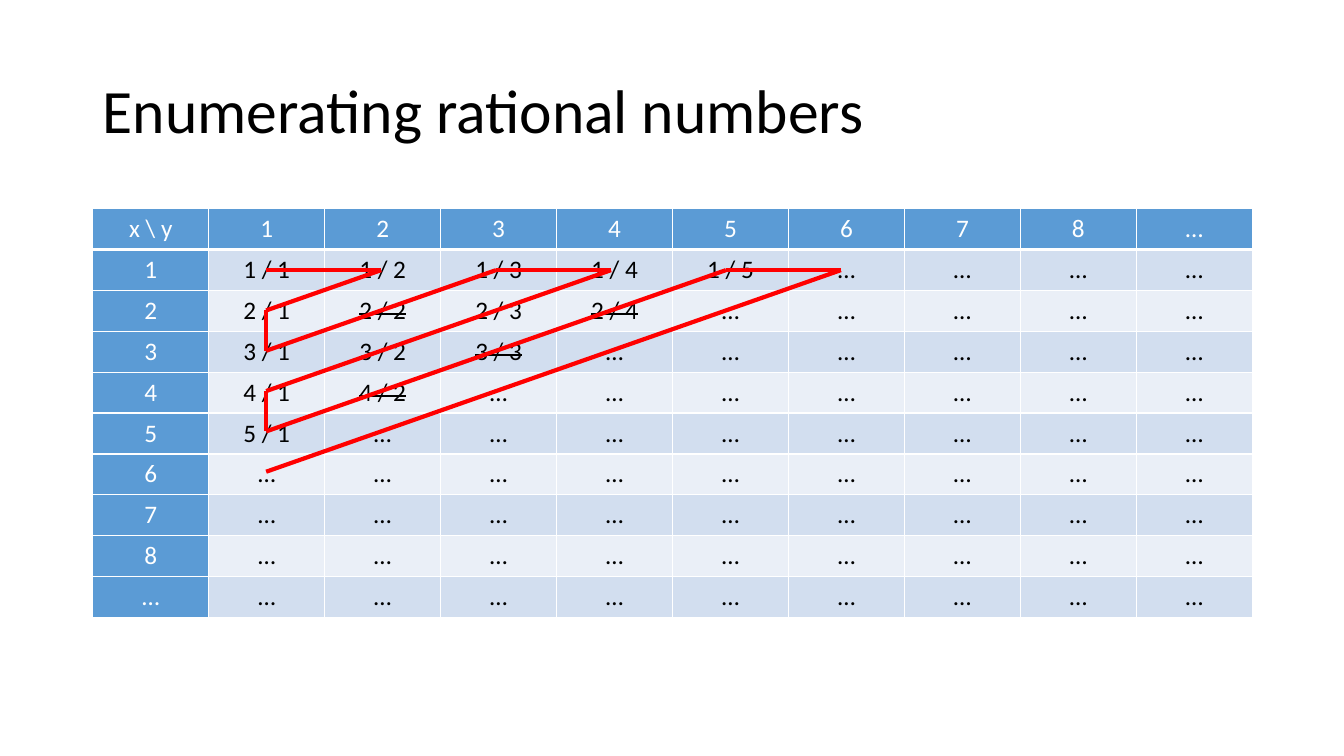
"""Build a slide that walks the rational numbers along diagonals of a table."""
from math import gcd
from itertools import pairwise

from lxml import etree
from pptx import Presentation
from pptx.dml.color import RGBColor
from pptx.enum.shapes import MSO_CONNECTOR
from pptx.enum.text import MSO_ANCHOR, PP_ALIGN
from pptx.oxml.ns import qn
from pptx.util import Inches, Pt

TITLE = "Enumerating rational numbers"
CORNER = "x \\ y"
DOTS = "…"
HEADS = ["1", "2", "3", "4", "5", "6", "7", "8", DOTS]
LAST_DIAGONAL = 6
PATH = [(1, 1), (1, 2), (2, 1), (3, 1), (1, 3), (1, 4),
        (4, 1), (5, 1), (1, 5), (1, 6), (6, 1)]

FONT = "Calibri"
BLACK = RGBColor(0x00, 0x00, 0x00)
WHITE = RGBColor(0xFF, 0xFF, 0xFF)
BLUE = RGBColor(0x5B, 0x9B, 0xD5)
BANDS = [RGBColor(0xEA, 0xEF, 0xF7), RGBColor(0xD2, 0xDE, 0xEF)]
RED = RGBColor(0xFF, 0x00, 0x00)
LEFT, CENTER = PP_ALIGN.LEFT, PP_ALIGN.CENTER
MIDDLE = MSO_ANCHOR.MIDDLE
STRAIGHT = MSO_CONNECTOR.STRAIGHT

GRID_LEFT, GRID_TOP, GRID_W, GRID_H = 0.92, 2.07, 11.5, 4.05
PATH_LEFT, PATH_TOP, STEP_X, STEP_Y = 2.64, 2.68, 1.14, 0.4


def style_run(r, size, color):
    r.font.name = FONT
    r.font.size = Pt(size)
    r.font.color.rgb = color


def cell_text(row, col):
    if row == 0 and col == 0:
        return CORNER
    if row == 0 or col == 0:
        return HEADS[row + col - 1]
    return f"{row} / {col}" if row + col <= LAST_DIAGONAL else DOTS


def add_borders(cell, bottom):
    tc_pr = cell._tc.get_or_add_tcPr()
    for side, width in (("L", 1), ("R", 1), ("T", 1), ("B", bottom)):
        ln = etree.SubElement(tc_pr, qn(f"a:ln{side}"), w=str(Pt(width)))
        fill = etree.SubElement(ln, qn("a:solidFill"))
        etree.SubElement(fill, qn("a:srgbClr"), val=str(WHITE))


def fill_cell(cell, row, col):
    is_head = row == 0 or col == 0
    add_borders(cell, 3 if row == 0 else 1)
    cell.fill.solid()
    cell.fill.fore_color.rgb = BLUE if is_head else BANDS[row % 2]
    p = cell.text_frame.paragraphs[0]
    p.text = cell_text(row, col)
    p.alignment = CENTER
    r = p.runs[0]
    style_run(r, 18, WHITE if is_head else BLACK)
    r.font.bold = False
    if not is_head and row + col <= LAST_DIAGONAL and gcd(row, col) > 1:
        r._r.get_or_add_rPr().set("strike", "sngStrike")


def add_title(slide):
    sp = slide.shapes.title
    sp.left, sp.top = Inches(0.92), Inches(0.4)
    sp.width, sp.height = Inches(11.5), Inches(1.45)
    tf = sp.text_frame
    tf.text = TITLE
    tf.vertical_anchor = MIDDLE
    p = tf.paragraphs[0]
    p.alignment = LEFT
    p.line_spacing = 0.9
    style_run(p.runs[0], 44, BLACK)


def add_grid(slide):
    n = len(HEADS) + 1
    table = slide.shapes.add_table(
        n, n, Inches(GRID_LEFT), Inches(GRID_TOP),
        Inches(GRID_W), Inches(GRID_H)).table
    for i in range(n):
        table.columns[i].width = Inches(GRID_W / n)
        table.rows[i].height = Inches(GRID_H / n)
        for j in range(n):
            fill_cell(table.cell(i, j), i, j)


def path_point(row, col):
    return (Inches(PATH_LEFT + (col - 1) * STEP_X),
            Inches(PATH_TOP + (row - 1) * STEP_Y))


def add_path(slide):
    for start, end in pairwise(PATH):
        line = slide.shapes.add_connector(
            STRAIGHT, *path_point(*start), *path_point(*end))
        line.line.color.rgb = RED
        line.line.width = Pt(3)
        etree.SubElement(line._element.spPr, qn("a:effectLst"))


def main():
    prs = Presentation()
    prs.slide_width, prs.slide_height = Inches(13.33), Inches(7.5)
    slide = prs.slides.add_slide(prs.slide_layouts[5])
    add_title(slide)
    add_grid(slide)
    add_path(slide)
    prs.save("out.pptx")


if __name__ == "__main__":
    main()
